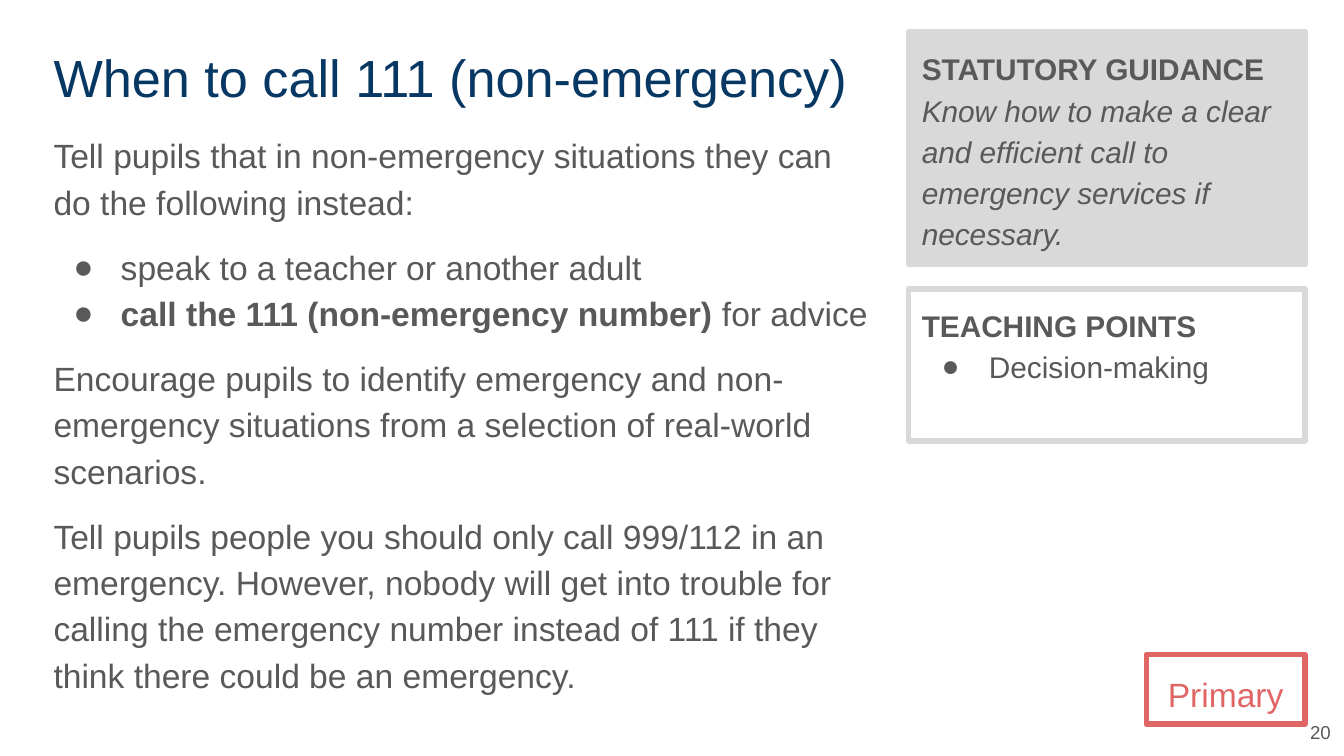
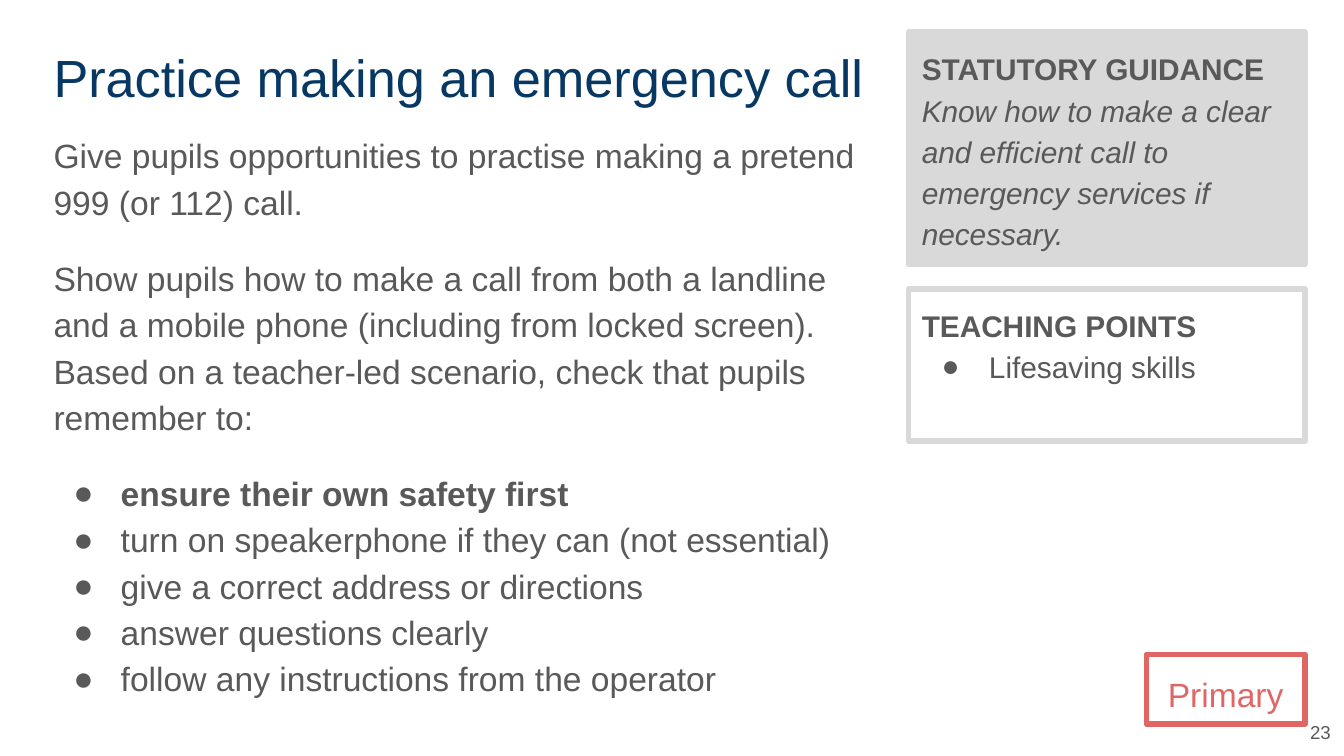
"""Build two first-aid teaching slides with guidance and teaching point panels."""
from lxml.etree import SubElement
from pptx import Presentation
from pptx.dml.color import RGBColor as RGB
from pptx.enum.shapes import MSO_SHAPE as SHAPE
from pptx.enum.text import MSO_ANCHOR as ANCHOR, PP_ALIGN as ALIGN
from pptx.oxml.ns import qn
from pptx.util import Pt

COLORS = {"title": "073763", "text": "595959", "panel": "D9D9D9", "primary": "E06666"}
FONT = "Arial"
LEFT, TOP = 21.6, 17.3
SIDE_LEFT, SIDE_WIDTH = 486.7, 212.4
FORMATS = {
    "title": {"size": Pt(28), "color": "title"},
    "body": {"size": Pt(18), "color": "text"},
    "side": {"size": Pt(16), "color": "text"},
    "badge": {"size": Pt(18), "color": "primary"},
    "number": {"size": Pt(10), "color": "text"},
}


def add_box(s, box, fill=None, line=None):
    """Add a text box, or a rectangle when it has an outline."""
    box = [Pt(v) for v in box]
    if line is None:
        sp = s.shapes.add_textbox(*box)
    else:
        sp = s.shapes.add_shape(SHAPE.RECTANGLE, *box)
        sp.shadow.inherit = False
        sp.line.color.rgb = RGB.from_string(COLORS[line])
        sp.line.width = Pt(3)
        SubElement(sp.line._get_or_add_ln(), qn("a:round"))
        if fill:
            sp.fill.solid()
            sp.fill.fore_color.rgb = RGB.from_string(COLORS[fill])
        else:
            sp.fill.background()
    return sp


def write(sp, paragraphs, kind, spacing=1.15, align=ALIGN.LEFT, anchor=ANCHOR.TOP):
    """Write (space before, bulleted, runs) paragraphs; runs pair text with style letters."""
    tf = sp.text_frame
    frame = {"word_wrap": True, "vertical_anchor": anchor}
    frame.update({f"margin_{side}": Pt(7.2) for side in ("left", "top", "right", "bottom")})
    for name, value in frame.items():
        setattr(tf, name, value)
    for i, (before, bulleted, runs) in enumerate(paragraphs):
        p = tf.add_paragraph() if i else tf.paragraphs[0]
        if bulleted:
            pPr = p._p.get_or_add_pPr()
            pPr.set("marL", str(Pt(36)))
            pPr.set("indent", str(-Pt(25.4)))
            color = SubElement(pPr, qn("a:buClr"))
            SubElement(color, qn("a:srgbClr"), val=COLORS["text"])
            SubElement(pPr, qn("a:buFont"), typeface=FONT)
            SubElement(pPr, qn("a:buChar"), char="●")
        for name, value in {"alignment": align, "line_spacing": spacing,
                            "space_before": Pt(before)}.items():
            setattr(p, name, value)
        for text, style in runs:
            r = p.add_run()
            r.text = text
            r.font.color.rgb = RGB.from_string(COLORS[FORMATS[kind]["color"]])
            for name, value in {"name": FONT, "size": FORMATS[kind]["size"],
                                "bold": "b" in style, "italic": "i" in style}.items():
                setattr(r.font, name, value)


SLIDES = [
    {
        "title": "When to call 111 (non-emergency)",
        "number": "20",
        "point": "Decision-making",
        "body": [
            (0, False, [("Tell pupils that in non-emergency situations they can do the "
                         "following instead:", "")]),
            (10, True, [("speak to a teacher or another adult", "")]),
            (0, True, [("call the 111 (non-emergency number)", "b"), (" for advice", "")]),
            (10, False, [("Encourage pupils to identify emergency and non-emergency "
                          "situations from a selection of real-world scenarios.", "")]),
            (10, False, [("Tell pupils people you should only call 999/112 in an emergency. "
                          "However, nobody will get into trouble for calling the emergency "
                          "number instead of 111 if they think there could be an "
                          "emergency.", "")]),
        ],
    },
    {
        "title": "Practice making an emergency call",
        "number": "23",
        "point": "Lifesaving skills",
        "body": [
            (0, False, [("Give pupils opportunities to practise making a pretend 999 "
                         "(or 112) call.", "")]),
            (16, False, [("Show pupils how to make a call from both a landline and a mobile "
                          "phone (including from locked screen). Based on a teacher-led "
                          "scenario, check that pupils remember to:", "")]),
            (16, True, [("ensure their own safety first", "b")]),
            (0, True, [("turn on speakerphone if they can (not essential)", "")]),
            (0, True, [("give a correct address or directions", "")]),
            (0, True, [("answer questions clearly", "")]),
            (0, True, [("follow any instructions from the operator", "")]),
        ],
    },
]
GUIDANCE = [
    (0, False, [("STATUTORY GUIDANCE", "b")]),
    (0, False, [("Know how to make a clear and efficient call to emergency services "
                 "if necessary.", "i")]),
]

prs = Presentation()
prs.slide_width, prs.slide_height = Pt(720), Pt(405)

for content in SLIDES:
    s = prs.slides.add_slide(prs.slide_layouts[6])

    title = add_box(s, (LEFT, TOP, 461.5, 45.4))
    write(title, [(0, False, [(content["title"], "")])], "title", spacing=1.0)

    body = add_box(s, (LEFT, 62, 455, 288.7))
    write(body, content["body"], "body")

    guidance = add_box(s, (SIDE_LEFT, TOP, SIDE_WIDTH, 124.5), fill="panel", line="panel")
    write(guidance, GUIDANCE, "side")

    number = add_box(s, (692, 378.7, 28, 26.6))
    write(number, [(0, False, [(content["number"], "")])], "number", spacing=1.0,
          align=ALIGN.RIGHT, anchor=ANCHOR.MIDDLE)

    badge = add_box(s, (614.1, 350.6, 85, 37.4), line="primary")
    write(badge, [(0, False, [("Primary", "")])], "badge", align=ALIGN.CENTER)

    points = add_box(s, (SIDE_LEFT, 154.8, SIDE_WIDTH, 81.4), line="panel")
    write(points, [(0, False, [("TEACHING POINTS", "b")]),
                   (0, True, [(content["point"], "")])], "side")

prs.save("out.pptx")
